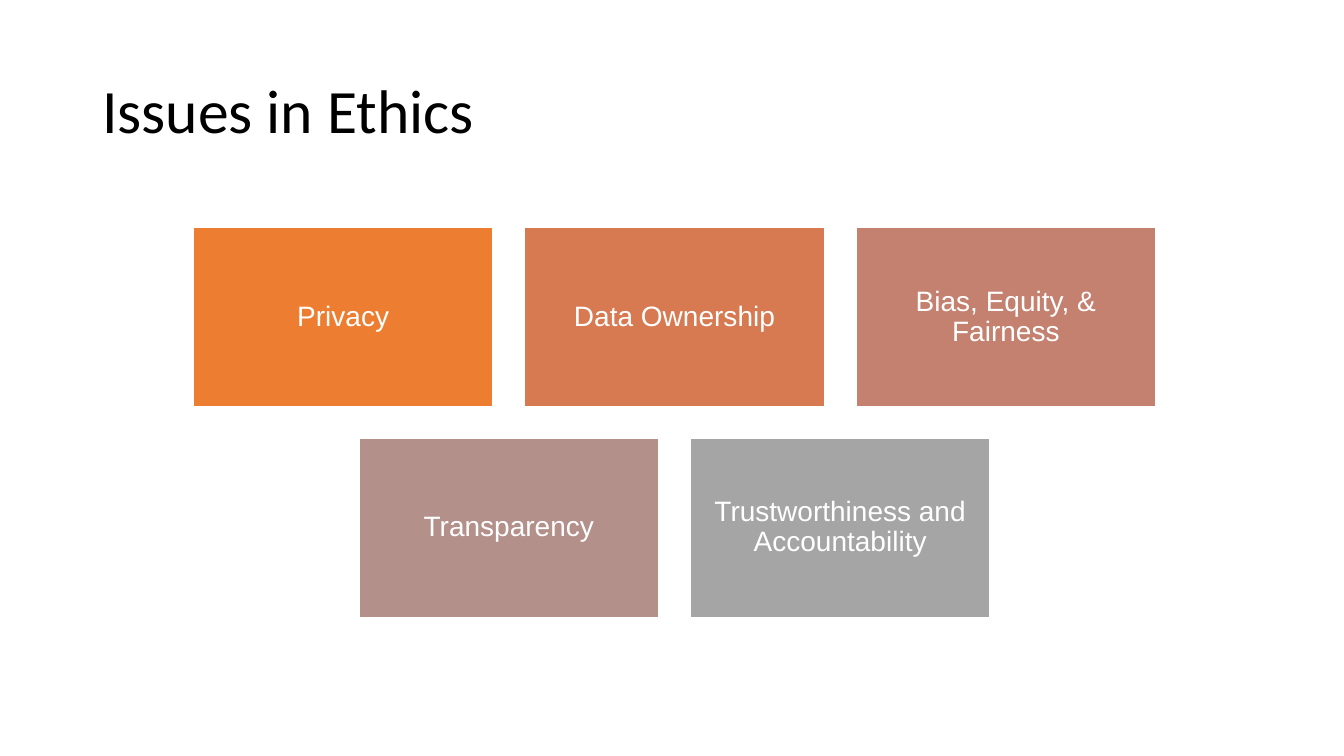
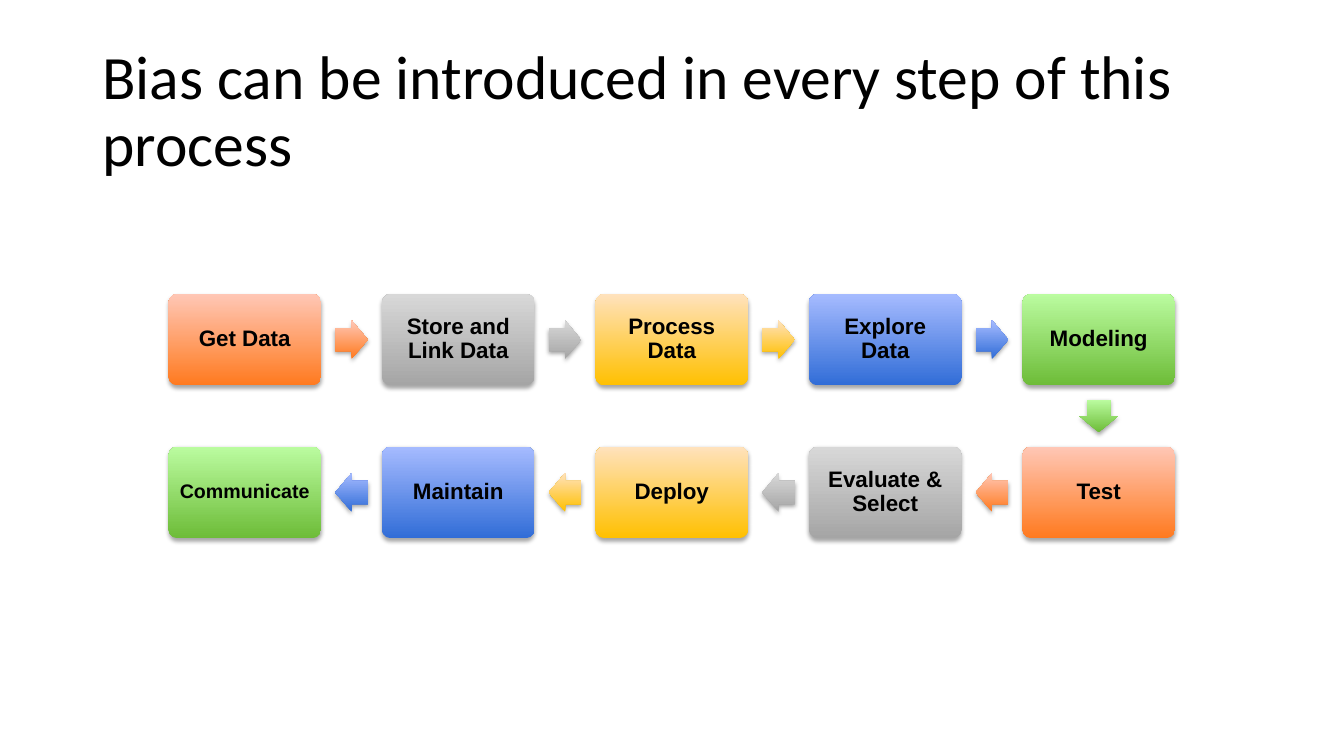
from lxml.etree import SubElement
from pptx import Presentation
from pptx.dml.color import RGBColor as RGB
from pptx.enum.shapes import MSO_SHAPE as SHAPE
from pptx.enum.text import MSO_ANCHOR as ANCHOR, PP_ALIGN as ALIGN
from pptx.oxml.ns import qn
from pptx.util import Cm, Pt

BLACK = RGB(0x00, 0x00, 0x00)
WHITE = RGB(0xFF, 0xFF, 0xFF)

# Flat fills of the issue boxes
ORANGE = RGB(0xED, 0x7D, 0x31)
RUST = RGB(0xD8, 0x7A, 0x51)
ROSE = RGB(0xC4, 0x81, 0x70)
MAUVE = RGB(0xB4, 0x90, 0x8B)
GRAY = RGB(0xA5, 0xA5, 0xA5)

# Gradients of the process steps, bottom colour then top colour
GRADIENTS = [
    (RGB(0xFF, 0x7A, 0x1F), RGB(0xFF, 0xC7, 0xB6)),
    (GRAY, RGB(0xD8, 0xD8, 0xD8)),
    (RGB(0xFF, 0xC0, 0x00), RGB(0xFF, 0xE2, 0xBD)),
    (RGB(0x31, 0x6D, 0xD7), RGB(0xA6, 0xBB, 0xFF)),
    (RGB(0x6D, 0xBC, 0x38), RGB(0xBB, 0xFC, 0xA0)),
]

# Text formats
TITLE_FONT = {"name": "Calibri", "size": Pt(44), "bold": False}
ISSUE_FONT = {"name": "Arial", "size": Pt(20), "bold": False}
STEP_FONT = {"name": "Arial", "size": Pt(16), "bold": True}
SMALL_STEP_FONT = {**STEP_FONT, "size": Pt(14)}

ISSUE_ROWS = [
    [("Privacy", ORANGE), ("Data Ownership", RUST),
     ("Bias, Equity, & Fairness", ROSE)],
    [("Transparency", MAUVE), ("Trustworthiness and Accountability", GRAY)],
]
STEPS = ["Get Data", "Store and Link Data", "Process Data", "Explore Data",
         "Modeling", "Test", "Evaluate & Select", "Deploy", "Maintain",
         "Communicate"]
STEPS_PER_ROW = 5


def set_attrs(obj, values):
    for name, value in values.items():
        setattr(obj, name, value)


def write_text(sp, text, font, color, align, margins):
    """Fill a shape with one paragraph, centred vertically."""
    tf = sp.text_frame
    side, end = (Cm(m) for m in margins)
    set_attrs(tf, {"word_wrap": True, "vertical_anchor": ANCHOR.MIDDLE,
                   "margin_left": side, "margin_right": side,
                   "margin_top": end, "margin_bottom": end})
    p = tf.paragraphs[0]
    set_attrs(p, {"alignment": align, "line_spacing": 0.9})
    r = p.add_run()
    r.text = text
    set_attrs(r.font, font)
    r.font.color.rgb = color


def add_titled_slide(prs, title):
    s = prs.slides.add_slide(prs.slide_layouts[6])
    box = s.shapes.add_textbox(Cm(2.33), Cm(1.01), Cm(29.21), Cm(3.68))
    write_text(box, title, TITLE_FONT, BLACK, ALIGN.LEFT, (0.25, 0.13))
    return s


def add_centered(s, kind, cx, cy, w, h):
    """Add a preset shape around a centre point."""
    sp = s.shapes.add_shape(kind, Cm(cx - w / 2), Cm(cy - h / 2), Cm(w), Cm(h))
    sp.shadow.inherit = False
    return sp


def add_issue(s, text, color, cx, cy, w, h):
    sp = add_centered(s, SHAPE.RECTANGLE, cx, cy, w, h)
    sp.fill.solid()
    sp.fill.fore_color.rgb = color
    sp.line.color.rgb = WHITE
    sp.line.width = Pt(2)
    write_text(sp, text, ISSUE_FONT, WHITE, ALIGN.CENTER, (0.21, 0.21))


def style_glossy(sp, gradient):
    """Vertical gradient, no outline, soft shadow below."""
    sp.fill.gradient()
    sp.fill.gradient_angle = 90
    for stop, color in zip(sp.fill.gradient_stops, gradient):
        stop.color.rgb = color
    sp.line.fill.background()
    effects = sp._element.spPr.find(qn("a:effectLst"))
    shadow = SubElement(effects, qn("a:outerShdw"), blurRad=str(Pt(3.1)),
                        dist=str(Pt(1.8)), dir="5400000", rotWithShape="0")
    black = SubElement(shadow, qn("a:srgbClr"), val=str(BLACK))
    SubElement(black, qn("a:alpha"), val="35000")


def add_step(s, text, gradient, cx, cy, w, h):
    sp = add_centered(s, SHAPE.ROUNDED_RECTANGLE, cx, cy, w, h)
    sp.adjustments[0] = 0.1
    style_glossy(sp, gradient)
    font = SMALL_STEP_FONT if text == "Communicate" else STEP_FONT
    margin = 0.15 if text == "Communicate" else 0.17
    write_text(sp, text, font, BLACK, ALIGN.CENTER, (margin, margin))


def add_step_arrow(s, gradient, start, end):
    """Block arrow halfway between two step centres."""
    (x1, y1), (x2, y2) = start, end
    length, breadth = 0.82, 0.97
    if x1 == x2:
        kind, w, h = SHAPE.DOWN_ARROW, breadth, length
    else:
        kind = SHAPE.RIGHT_ARROW if x2 > x1 else SHAPE.LEFT_ARROW
        w, h = length, breadth
    sp = add_centered(s, kind, (x1 + x2) / 2, (y1 + y2) / 2, w, h)
    sp.adjustments[0] = 0.6
    sp.adjustments[1] = 0.5
    style_glossy(sp, gradient)


def build_issues(prs):
    s = add_titled_slide(prs, "Issues in Ethics")
    w, h, gap = 7.59, 4.55, 0.76
    center_x, first_y = 17, 7.99
    for row, issues in enumerate(ISSUE_ROWS):
        for col, (text, color) in enumerate(issues):
            cx = center_x + (col - (len(issues) - 1) / 2) * (w + gap)
            add_issue(s, text, color, cx, first_y + row * (h + gap), w, h)


def build_process(prs):
    s = add_titled_slide(
        prs, "Bias can be introduced in every step of this process")
    w, h = 3.85, 2.31
    first_x, first_y, pitch_x, pitch_y = 6.17, 8.56, 5.38, 3.85

    # The second row runs back from right to left
    centers = []
    for i in range(len(STEPS)):
        row, col = divmod(i, STEPS_PER_ROW)
        if row % 2:
            col = STEPS_PER_ROW - 1 - col
        centers.append((first_x + col * pitch_x, first_y + row * pitch_y))

    for i, (text, center) in enumerate(zip(STEPS, centers)):
        gradient = GRADIENTS[i % len(GRADIENTS)]
        add_step(s, text, gradient, *center, w, h)
        if i + 1 < len(STEPS):
            add_step_arrow(s, gradient, center, centers[i + 1])


def main():
    prs = Presentation()
    prs.slide_width, prs.slide_height = Cm(33.87), Cm(19.05)
    build_issues(prs)
    build_process(prs)
    prs.save("out.pptx")


if __name__ == "__main__":
    main()
